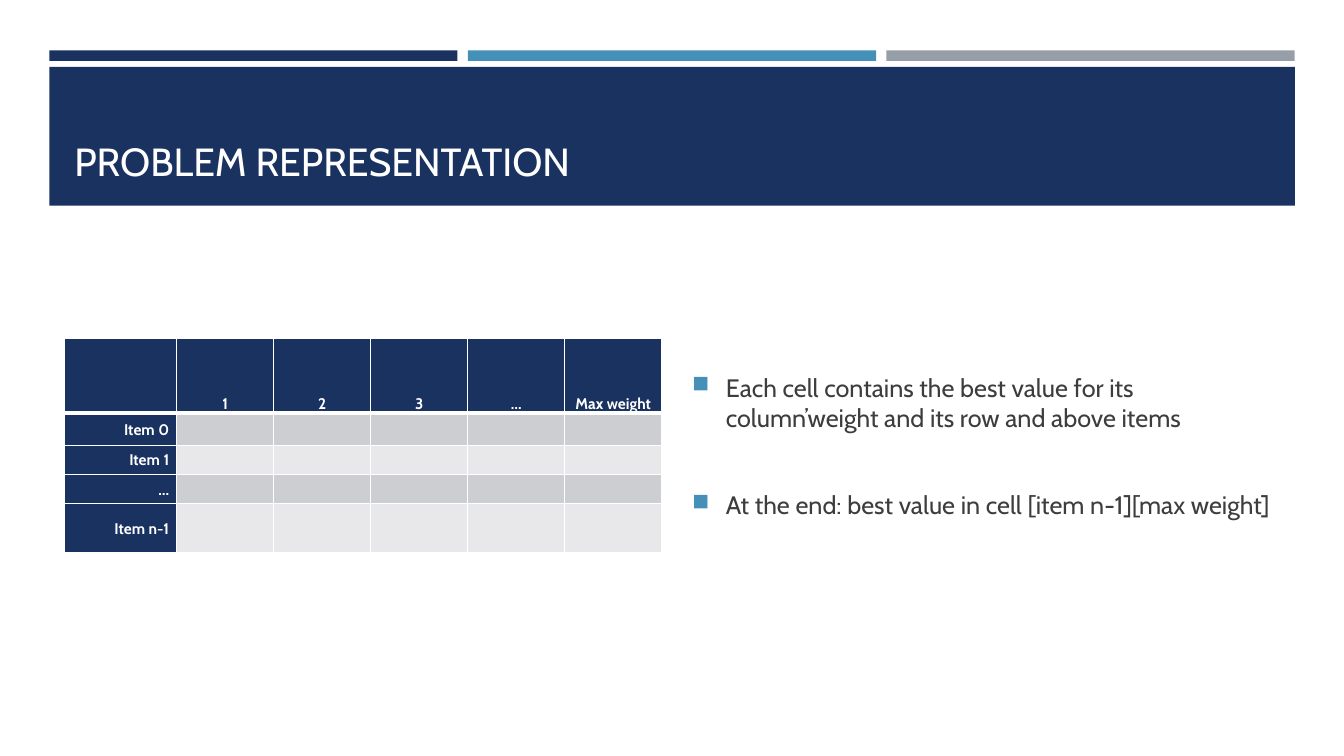
from lxml import etree
from pptx import Presentation
from pptx.dml.color import RGBColor
from pptx.enum.shapes import MSO_SHAPE
from pptx.enum.text import MSO_ANCHOR, PP_ALIGN
from pptx.oxml.ns import qn
from pptx.util import Pt

RECTANGLE = MSO_SHAPE.RECTANGLE
MIDDLE, BOTTOM = MSO_ANCHOR.MIDDLE, MSO_ANCHOR.BOTTOM
LEFT, CENTER, RIGHT = PP_ALIGN.LEFT, PP_ALIGN.CENTER, PP_ALIGN.RIGHT

NAVY = RGBColor(0x1A, 0x32, 0x60)
BLUE = RGBColor(0x45, 0x90, 0xB8)
GRAY = RGBColor(0x96, 0x9F, 0xA7)
DARK_BAND = RGBColor(0xCD, 0xCE, 0xD2)
LIGHT_BAND = RGBColor(0xE8, 0xE8, 0xEA)
INK = RGBColor(0x3D, 0x3D, 0x3D)
WHITE = RGBColor(0xFF, 0xFF, 0xFF)
FONT = "Cabin"


def add_node(parent, tag, **attributes):
    node = etree.SubElement(parent, qn(tag))
    for name, value in attributes.items():
        node.set(name, str(value))
    return node


def write(para, text, size=18, color=INK, bold=False, align=LEFT, spacing=None, before=0):
    """Fill one paragraph with formatted text."""
    para.alignment = align
    para.space_before = Pt(before)
    para.line_spacing = spacing
    if not text:
        add_node(para._p, "a:endParaRPr", sz=size * 100)
        return
    span = para.add_run()
    span.text = text
    span.font.name = FONT
    span.font.size = Pt(size)
    span.font.bold = bold
    span.font.color.rgb = color


def add_bullet(para, indent):
    properties = para._p.get_or_add_pPr()
    properties.set("marL", str(Pt(indent)))
    properties.set("indent", str(-Pt(indent)))
    add_node(add_node(properties, "a:buClr"), "a:srgbClr", val=BLUE)
    add_node(properties, "a:buSzPct", val=92000)
    add_node(properties, "a:buChar", char="■")


def add_borders(cell, **widths):
    properties = cell._tc.get_or_add_tcPr()
    for side in "LRTB":
        line = add_node(properties, f"a:ln{side}", w=Pt(widths.get(side, 1)))
        add_node(add_node(line, "a:solidFill"), "a:srgbClr", val=WHITE)


class SlideBuilder:
    def __init__(self, page):
        self.page = page

    def bar(self, left, top, width, height, color):
        shape = self.page.shapes.add_shape(RECTANGLE, Pt(left), Pt(top), Pt(width), Pt(height))
        shape.shadow.inherit = False
        shape.fill.solid()
        shape.fill.fore_color.rgb = color
        shape.line.fill.background()

    def text(self, left, top, width, height, lines, anchor, indent=0, gap=0, **style):
        box = self.page.shapes.add_textbox(Pt(left), Pt(top), Pt(width), Pt(height))
        frame = box.text_frame
        frame.word_wrap = True
        frame.vertical_anchor = anchor
        for index, line in enumerate(lines):
            para = frame.add_paragraph() if index else frame.paragraphs[0]
            write(para, line, before=gap if index else 0, **style)
            if indent:
                add_bullet(para, indent)

    def table(self, left, top, columns, rows, headings, labels):
        frame = self.page.shapes.add_table(len(rows), len(columns), Pt(left), Pt(top),
                                           Pt(sum(columns)), Pt(sum(rows)))
        grid = frame.table
        for column, width in zip(grid.columns, columns):
            column.width = Pt(width)
        for row, height in zip(grid.rows, rows):
            row.height = Pt(height)
        for r in range(len(rows)):
            for c in range(len(columns)):
                cell = grid.cell(r, c)
                if r == 0:
                    text, fill, align = headings[c], NAVY, CENTER
                elif c == 0:
                    text, fill, align = labels[r - 1], NAVY, RIGHT
                else:
                    text, fill, align = "", DARK_BAND if r % 2 else LIGHT_BAND, LEFT
                add_borders(cell, T=3 if r == 1 else 1, B=3 if r == 0 else 1)
                cell.fill.solid()
                cell.fill.fore_color.rgb = fill
                cell.margin_left = cell.margin_right = Pt(5.4)
                cell.margin_top = cell.margin_bottom = 0
                cell.vertical_anchor = MIDDLE if r else BOTTOM
                write(cell.text_frame.paragraphs[0], text, size=11, color=WHITE,
                      bold=True, align=align, spacing=1.07)


deck = Presentation()
deck.slide_width, deck.slide_height = Pt(960), Pt(540)
slide = SlideBuilder(deck.slides.add_slide(deck.slide_layouts[6]))

# Accent strips and title band
for index, color in enumerate((NAVY, BLUE, GRAY)):
    slide.bar(35.2 + index * 299, 36, 291.6, 7.6, color)
slide.bar(35.2, 47.8, 889.7, 99.2, NAVY)
slide.text(46, 57.6, 868.3, 77.8, ["PROBLEM REPRESENTATION"], BOTTOM, size=28, color=WHITE)

# Items by weight
slide.table(46.3, 242, [80] + [69.3] * 5, [53.2, 22.8, 20.9, 20.9, 35],
            ["", "1", "2", "3", "…", "Max weight"],
            ["Item 0", "Item 1", "…", "Item n-1"])

# Explanation
slide.text(487.4, 175.7, 427, 285.8,
           ["Each cell contains the best value for its column’weight and its row and above items",
            "At the end: best value in cell [item n-1][max weight]"],
           MIDDLE, indent=24, gap=40.7)

deck.save("out.pptx")
